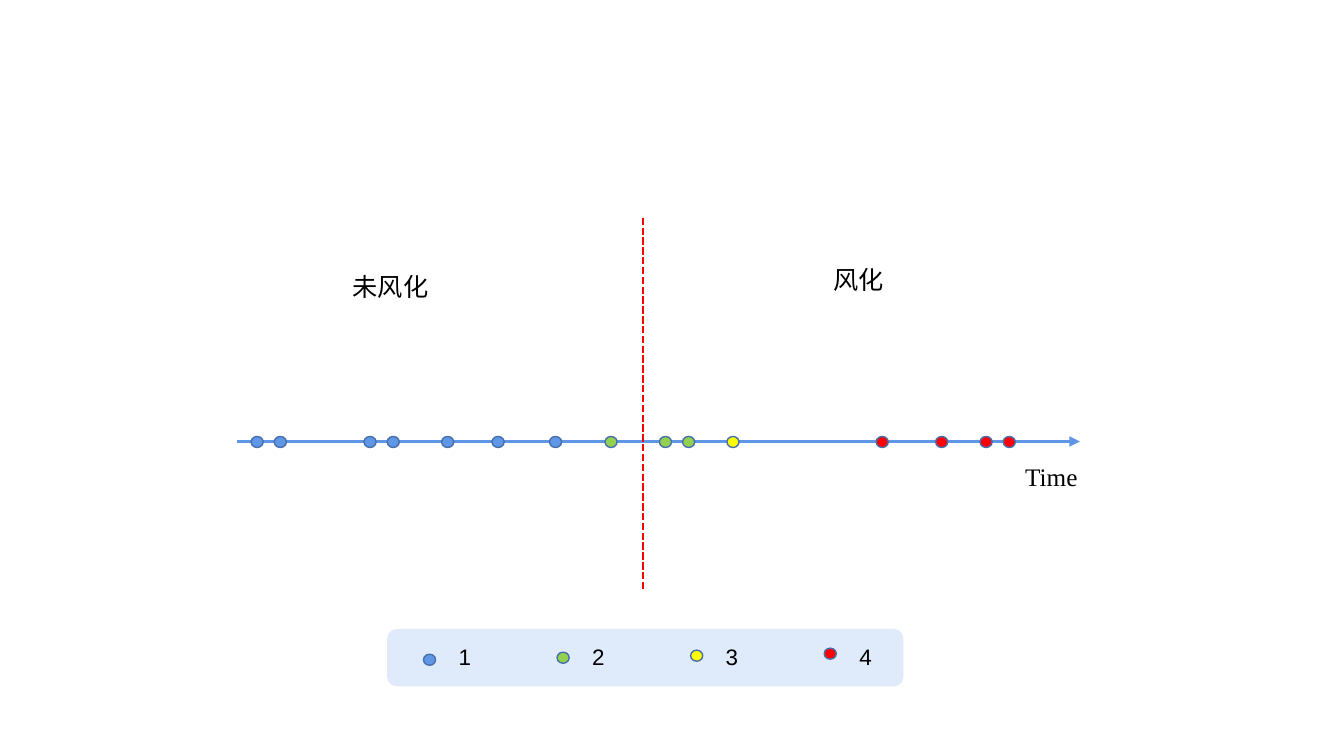
from lxml import etree
from pptx import Presentation
from pptx.dml.color import RGBColor
from pptx.enum.dml import MSO_LINE
from pptx.enum.shapes import MSO_CONNECTOR, MSO_SHAPE
from pptx.enum.text import MSO_AUTO_SIZE
from pptx.oxml.ns import qn
from pptx.util import Inches, Pt

STRAIGHT = MSO_CONNECTOR.STRAIGHT
OVAL = MSO_SHAPE.OVAL
ROUNDED = MSO_SHAPE.ROUNDED_RECTANGLE
SHORT_DASH = MSO_LINE.SQUARE_DOT
FIT_SHAPE = MSO_AUTO_SIZE.SHAPE_TO_FIT_TEXT

COLORS = {
    "text": "000000",
    "axis": "6096E6",
    "divider": "FF0000",
    "legend": "DFEAFA",
    "outline": "476FAA",
    "1": "6096E6",
    "2": "92D050",
    "3": "FFFF00",
    "4": "FF0000",
}
CHINESE_FONT = "Noto Sans CJK SC"
DOT_WIDTH, DOT_HEIGHT = 0.12, 0.11

# Left edge of each event dot, by its stage
EVENTS = {
    "1": [2.49, 2.72, 3.61, 3.84, 4.38, 4.88, 5.45],
    "2": [6.0, 6.54, 6.77],
    "3": [7.21],
    "4": [8.69, 9.28, 9.72, 9.95],
}


def color(name):
    return RGBColor.from_string(COLORS[name])


def add_text(shapes, text, left, top, width, height, size=18, font="Arial", wrap=True):
    box = shapes.add_textbox(Inches(left), Inches(top), Inches(width), Inches(height))
    box.text_frame.word_wrap = wrap
    box.text_frame.auto_size = FIT_SHAPE
    span = box.text_frame.paragraphs[0].add_run()
    span.text = text
    span.font.size = Pt(size)
    span.font.color.rgb = color("text")
    span.font.name = font
    east_asian = etree.SubElement(span.font._element, qn("a:ea"))
    east_asian.set("typeface", font)


def add_filled(shapes, kind, fill, left, top, width, height):
    shape = shapes.add_shape(kind, Inches(left), Inches(top), Inches(width), Inches(height))
    shape.shadow.inherit = False
    shape.fill.solid()
    shape.fill.fore_color.rgb = color(fill)
    shape.line.fill.background()
    return shape


def add_dot(shapes, stage, left, top):
    dot = add_filled(shapes, OVAL, stage, left, top, DOT_WIDTH, DOT_HEIGHT)
    dot.line.color.rgb = color("outline")
    dot.line.width = Pt(1)


def add_line(shapes, name, start, end, width):
    line = shapes.add_connector(STRAIGHT, *map(Inches, start + end))
    line.line.color.rgb = color(name)
    line.line.width = Pt(width)
    etree.SubElement(line._element.spPr, qn("a:effectLst"))
    return line


def draw_timeline(shapes, left, top, width, height):
    """Draw the time axis, the divider and their labels in the given box."""
    right, axis_y, divider_x = left + width, top + 2.22, left + 4.03
    axis = add_line(shapes, "axis", (left, axis_y), (right, axis_y), 2.5)
    arrowhead = etree.SubElement(axis.line._get_or_add_ln(), qn("a:tailEnd"))
    arrowhead.set("type", "triangle")
    add_text(shapes, "Time", right - 0.64, axis_y + 0.15, 0.81, 0.4, font="Times New Roman")
    add_text(shapes, "未风化", left + 1.05, top + 0.48, 1.05, 0.4, font=CHINESE_FONT)
    add_text(shapes, "风化", left + 5.82, top + 0.41, 0.85, 0.4, font=CHINESE_FONT)
    divider = add_line(shapes, "divider", (divider_x, top), (divider_x, top + height), 1.75)
    divider.line.dash_style = SHORT_DASH
    for stage, positions in EVENTS.items():
        for position in positions:
            add_dot(shapes, stage, position, axis_y - 0.05)


def draw_legend_panel(shapes, left, top, width, height):
    add_filled(shapes, ROUNDED, "legend", left, top, width, height)


def draw_legend_entries(shapes, left, top, width):
    """Spread one grouped dot and number per stage over the width."""
    step = width / len(EVENTS)
    for index, stage in enumerate(EVENTS):
        entry = shapes.add_group_shape().shapes
        entry_left = left + 0.36 + index * step * 1.035
        add_dot(entry, stage, entry_left, top + 0.25 - index * 0.02)
        add_text(entry, stage, entry_left + 0.25, top + 0.09, 0.33, 0.37, size=16, wrap=False)


def main():
    deck = Presentation()
    deck.slide_width, deck.slide_height = Inches(13.33), Inches(7.5)
    page = deck.slides.add_slide(deck.slide_layouts[6])
    draw_legend_panel(page.shapes, 3.84, 6.24, 5.12, 0.57)
    draw_timeline(page.shapes, 2.35, 2.16, 8.36, 3.71)
    draw_legend_entries(page.shapes, 3.84, 6.24, 5.12)
    deck.save("out.pptx")


if __name__ == "__main__":
    main()
